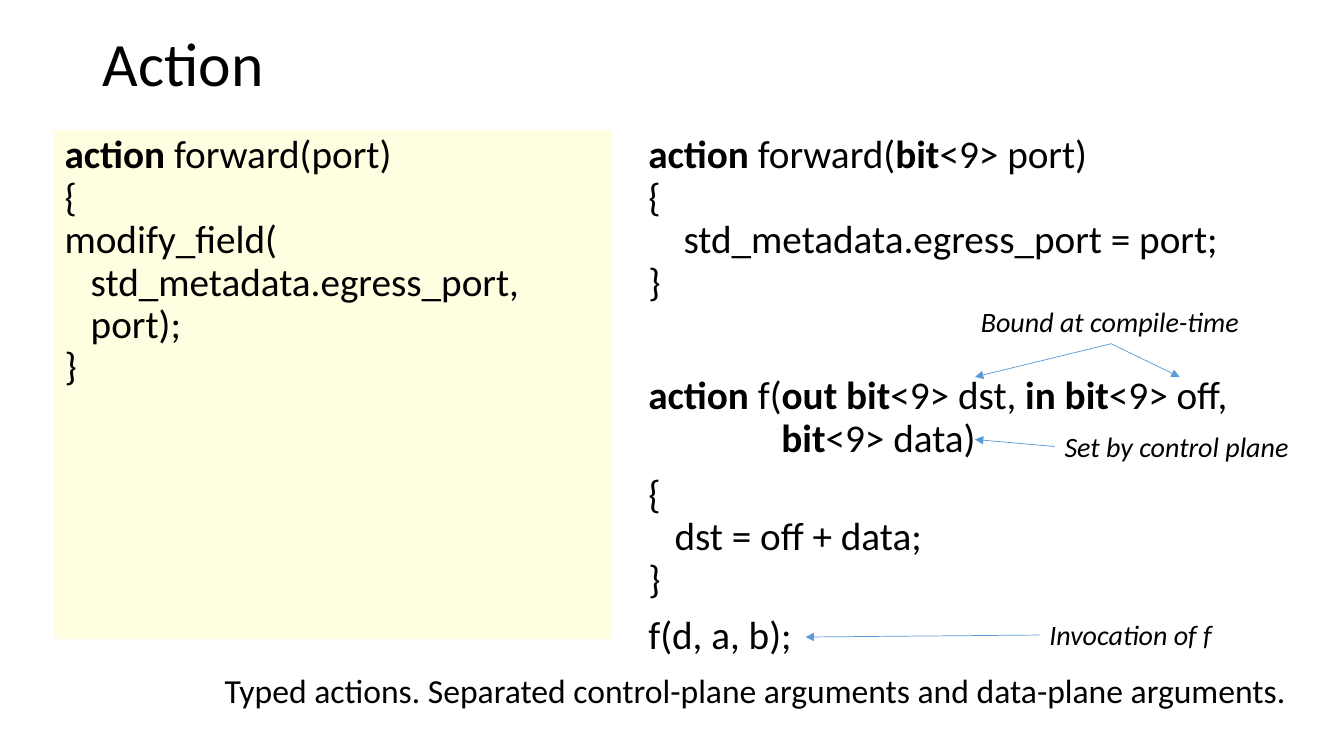
from dataclasses import dataclass

from lxml.etree import SubElement
from pptx import Presentation
from pptx.dml.color import RGBColor
from pptx.enum.text import MSO_ANCHOR, MSO_AUTO_SIZE, PP_ALIGN
from pptx.enum.shapes import MSO_CONNECTOR
from pptx.oxml.ns import qn
from pptx.util import Inches, Pt


@dataclass(frozen=True)
class Theme:
    font: str = "Calibri"
    ink: RGBColor = RGBColor(0x00, 0x00, 0x00)
    panel: RGBColor = RGBColor(0xFF, 0xFE, 0xE0)
    arrow: RGBColor = RGBColor(0x5B, 0x9B, 0xD5)
    title_size: int = 44
    code_size: int = 28
    caption_size: int = 24
    label_size: int = 20
    line_spacing: float = 0.9


THEME = Theme()
TWO_CONTENT_LAYOUT = 3

# Code lines: (text with *bold* parts, indent in inches, space before in points)
UNTYPED_CODE = [
    ("*action* forward(port)", 0, 0),
    ("{", 0, 0),
    ("modify_field(", 0, 0),
    ("std_metadata.egress_port,", 0.26, 0),
    ("port);", 0.26, 0),
    ("}", 0, 0),
]
TYPED_CODE = [
    ("*action* forward(*bit*<9> port)", 0, 0),
    ("{", 0, 0),
    ("std_metadata.egress_port = port;", 0.35, 0),
    ("}", 0, 0),
    ("*action* f(*out bit*<9> dst, *in bit*<9> off,", 0, 51),
    ("*bit*<9> data)", 1.32, 0),
    ("{", 0, 10),
    ("dst = off + data;", 0.26, 0),
    ("}", 0, 0),
    ("f(d, a, b);", 0, 10),
]

# Labels: text, left, top, width
LABELS = [
    ("Bound at compile-time", 9.63, 2.97, 2.78),
    ("Set by control plane", 10.46, 4.21, 2.47),
    ("Invocation of f", 10.31, 6.08, 1.83),
]

# Arrows: start point, end point
ARROWS = [
    ((11.02, 3.41), (9.67, 3.74)),
    ((11.02, 3.41), (11.7, 3.74)),
    ((10.46, 4.43), (9.67, 4.36)),
    ((10.31, 6.3), (7.99, 6.32)),
]


def place(shape, left, top, width, height):
    shape.left, shape.top = Inches(left), Inches(top)
    shape.width, shape.height = Inches(width), Inches(height)


def style(span, size, bold=False, italic=False):
    font = span.font
    font.name, font.size = THEME.font, Pt(size)
    font.bold, font.italic = bold, italic
    font.color.rgb = THEME.ink


def set_title(page, text):
    title = page.shapes.title
    place(title, 0.92, 0, 11.5, 1.32)
    frame = title.text_frame
    frame.text = text
    frame.vertical_anchor = MSO_ANCHOR.MIDDLE
    para = frame.paragraphs[0]
    para.alignment = PP_ALIGN.LEFT
    para.line_spacing = THEME.line_spacing
    style(para.runs[0], THEME.title_size)


def write_code_line(para, text, indent, space_before):
    para.line_spacing = THEME.line_spacing
    para.space_before = Pt(space_before)
    properties = para._p.get_or_add_pPr()
    properties.set("marL", str(Inches(indent)))
    properties.set("indent", "0")
    SubElement(properties, qn("a:buNone"))
    # Every second part between asterisks is bold
    for index, part in enumerate(text.split("*")):
        if part:
            span = para.add_run()
            span.text = part
            style(span, THEME.code_size, bold=index % 2 == 1)


def fill_code(body, lines):
    frame = body.text_frame
    frame.auto_size = MSO_AUTO_SIZE.NONE
    frame.vertical_anchor = MSO_ANCHOR.TOP
    for index, line in enumerate(lines):
        para = frame.add_paragraph() if index else frame.paragraphs[0]
        write_code_line(para, *line)


def add_text(page, text, left, top, width, height, size, italic=False, wrap=False):
    box = page.shapes.add_textbox(
        Inches(left), Inches(top), Inches(width), Inches(height))
    frame = box.text_frame
    frame.word_wrap = wrap
    frame.text = text
    style(frame.paragraphs[0].runs[0], size, italic=italic)


def add_arrow(page, start, end):
    arrow = page.shapes.add_connector(
        MSO_CONNECTOR.STRAIGHT, *map(Inches, start + end))
    arrow.line.color.rgb = THEME.arrow
    arrow.line.width = Pt(0.5)
    SubElement(arrow.line._get_or_add_ln(), qn("a:tailEnd"), type="triangle")
    SubElement(arrow._element.spPr, qn("a:effectLst"))


def main():
    deck = Presentation()
    deck.slide_width, deck.slide_height = Inches(13.33), Inches(7.5)
    page = deck.slides.add_slide(deck.slide_layouts[TWO_CONTENT_LAYOUT])
    set_title(page, "Action")

    # Code side by side
    untyped, typed = page.placeholders[1], page.placeholders[2]
    place(untyped, 0.54, 1.29, 5.52, 5.05)
    untyped.fill.solid()
    untyped.fill.fore_color.rgb = THEME.panel
    fill_code(untyped, UNTYPED_CODE)
    place(typed, 6.33, 1.29, 6.46, 6.07)
    fill_code(typed, TYPED_CODE)

    # Annotations on the typed code
    for text, left, top, width in LABELS:
        add_text(page, text, left, top, width, 0.44, THEME.label_size, italic=True)
    for start, end in ARROWS:
        add_arrow(page, start, end)

    # Closing caption
    add_text(page, "Typed actions. Separated control-plane arguments "
             "and data-plane arguments.",
             2.13, 6.6, 11.2, 0.5, THEME.caption_size, wrap=True)
    deck.save("out.pptx")


main()
